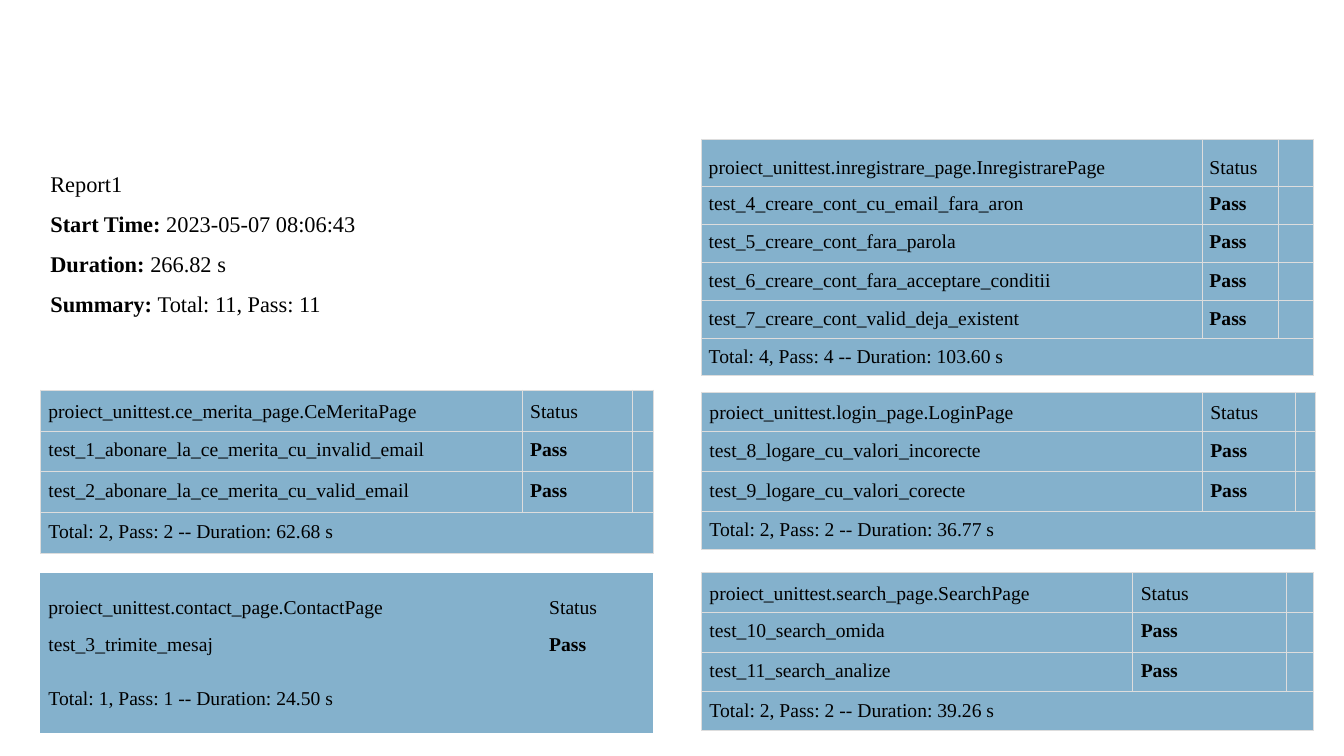
"""Builds the test report slide: a summary and five result tables."""
from dataclasses import dataclass

from lxml import etree
from pptx import Presentation, util as u
from pptx.dml.color import RGBColor
from pptx.enum import text
from pptx.oxml.ns import qn


@dataclass(frozen=True)
class Theme:
    font: str = "Times New Roman"
    ink: str = "000000"
    paper: str = "FFFFFF"
    cell: str = "84B1CC"
    rule: str = "DDDDDD"
    body: int = 14
    head: int = 16
    plain: str = "{2D5ABB26-0587-4C30-8999-92F81FD0307C}"


@dataclass(frozen=True)
class Suite:
    name: str
    tests: tuple[str, ...]
    total: str
    left: float
    top: float
    cols: tuple[float, ...]
    rows: tuple[float, ...]
    pad: float = 0.2
    lined: bool = True


THEME = Theme()
LEFT, RIGHT = 1.02, 17.68
LOW = 14.43
SUITES = (
    Suite("ce_merita_page.CeMeritaPage",
          ("test_1_abonare_la_ce_merita_cu_invalid_email",
           "test_2_abonare_la_ce_merita_cu_valid_email"),
          "Total: 2, Pass: 2 -- Duration: 62.68 s",
          LEFT, 9.83, (12.14, 2.79, 0.51), (1.03,) * 4),
    Suite("contact_page.ContactPage", ("test_3_trimite_mesaj",),
          "Total: 1, Pass: 1 -- Duration: 24.50 s",
          LEFT, LOW, (12.62, 2.31, 0.48), (1.35,) * 3, lined=False),
    Suite("inregistrare_page.InregistrarePage",
          ("test_4_creare_cont_cu_email_fara_aron",
           "test_5_creare_cont_fara_parola",
           "test_6_creare_cont_fara_acceptare_conditii",
           "test_7_creare_cont_valid_deja_existent"),
          "Total: 4, Pass: 4 -- Duration: 103.60 s",
          RIGHT, 3.51, (12.62, 1.91, 0.88), (1.18,) + (0.93,) * 5, 0.18),
    Suite("login_page.LoginPage",
          ("test_8_logare_cu_valori_incorecte",
           "test_9_logare_cu_valori_corecte"),
          "Total: 2, Pass: 2 -- Duration: 36.77 s",
          RIGHT, 9.88, (12.62, 2.34, 0.48), (0.97,) * 4),
    Suite("search_page.SearchPage",
          ("test_10_search_omida", "test_11_search_analize"),
          "Total: 2, Pass: 2 -- Duration: 39.26 s",
          RIGHT, LOW, (10.87, 3.87, 0.69), (0.97,) * 4),
)
FACTS = (
    ("", "Report1"),
    ("Start Time: ", "2023-05-07 08:06:43"),
    ("Duration: ", "266.82 s"),
    ("Summary: ", "Total: 11, Pass: 11"),
)


def write(par, words: str, *, size: int = THEME.body, bold: bool = False) -> None:
    """Add a run to a paragraph, or size the paragraph if it is empty."""
    if not words:
        etree.SubElement(par._p, qn("a:endParaRPr"), sz=str(size * 100))
        return
    run = par.add_run()
    run.text = words
    run.font.name = THEME.font
    run.font.size = u.Pt(size)
    run.font.bold = bold
    run.font.color.rgb = RGBColor.from_string(THEME.ink)


def edge(cell) -> None:
    """Draw a thin rule on all four sides of a cell."""
    props = cell._tc.get_or_add_tcPr()
    for spot, side in enumerate("LRTB"):
        line = etree.Element(qn(f"a:ln{side}"), w=str(u.Pt(0.75)))
        fill = etree.SubElement(line, qn("a:solidFill"))
        etree.SubElement(fill, qn("a:srgbClr"), val=THEME.rule)
        props.insert(spot, line)


def grid(slide, suite: Suite) -> None:
    """Draw the result table of one test suite."""
    lines = [(f"proiect_unittest.{suite.name}", "Status", "")]
    lines += [(test, "Pass", "") for test in suite.tests]
    lines.append((suite.total, "", ""))
    frame = slide.shapes.add_table(
        len(lines), len(suite.cols), u.Cm(suite.left), u.Cm(suite.top),
        u.Cm(sum(suite.cols)), u.Cm(sum(suite.rows)))
    table = frame.table
    table.first_row = table.horz_banding = False
    table._tbl.tblPr.find(qn("a:tableStyleId")).text = THEME.plain
    for col, width in zip(table.columns, suite.cols):
        col.width = u.Cm(width)
    for row, (line, height) in enumerate(zip(lines, suite.rows)):
        table.rows[row].height = u.Cm(height)
        for col, words in enumerate(line):
            cell = table.cell(row, col)
            cell.margin_left = cell.margin_right = u.Cm(suite.pad)
            cell.margin_top = cell.margin_bottom = u.Cm(suite.pad)
            cell.vertical_anchor = (
                text.MSO_ANCHOR.TOP if row else text.MSO_ANCHOR.BOTTOM)
            cell.fill.solid()
            cell.fill.fore_color.rgb = RGBColor.from_string(THEME.cell)
            write(cell.text_frame.paragraphs[0], words, bold=words == "Pass")
            if suite.lined:
                edge(cell)
    last = len(lines) - 1
    table.cell(last, 0).merge(table.cell(last, len(suite.cols) - 1))


def intro(slide) -> None:
    """Write the summary of the whole run."""
    box = slide.shapes.add_textbox(
        u.Cm(LEFT), u.Cm(3.51), u.Cm(15.49), u.Cm(5.64))
    box.fill.solid()
    box.fill.fore_color.rgb = RGBColor.from_string(THEME.paper)
    frame = box.text_frame
    frame.word_wrap = True
    frame.vertical_anchor = text.MSO_ANCHOR.TOP
    frame.margin_left = frame.margin_right = u.Cm(0.25)
    frame.margin_top, frame.margin_bottom = u.Cm(0.43), u.Cm(0.2)
    for spot, (label, value) in enumerate(FACTS):
        par = frame.add_paragraph() if spot else frame.paragraphs[0]
        par.line_spacing = 1.5
        if label:
            write(par, label, size=THEME.head, bold=True)
        write(par, value, size=THEME.head)


def main() -> None:
    """Build and save the slide."""
    deck = Presentation()
    deck.slide_width, deck.slide_height = u.Cm(33.87), u.Cm(19.05)
    slide = deck.slides.add_slide(deck.slide_layouts[6])
    for suite in SUITES:
        grid(slide, suite)
    intro(slide)
    deck.save("out.pptx")


if __name__ == "__main__":
    main()
